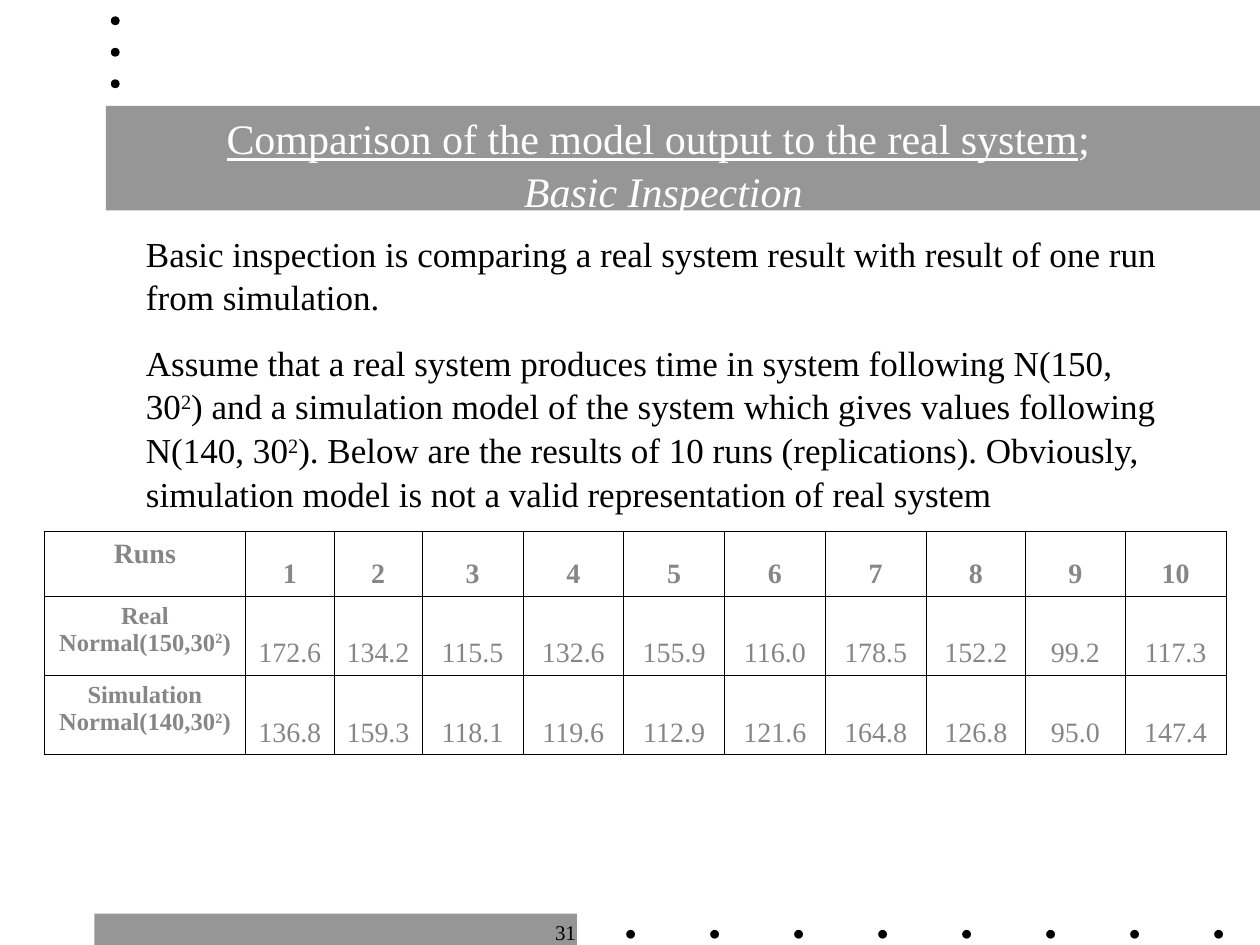
from dataclasses import dataclass

from lxml import etree
from pptx import Presentation
from pptx.dml.color import RGBColor
from pptx.enum.shapes import MSO_SHAPE
from pptx.enum.text import MSO_ANCHOR, MSO_AUTO_SIZE, PP_ALIGN
from pptx.oxml.ns import qn
from pptx.util import Inches, Pt

RECTANGLE, OVAL = MSO_SHAPE.RECTANGLE, MSO_SHAPE.OVAL
LEFT, CENTER, RIGHT = PP_ALIGN.LEFT, PP_ALIGN.CENTER, PP_ALIGN.RIGHT
TOP, MIDDLE, BOTTOM = MSO_ANCHOR.TOP, MSO_ANCHOR.MIDDLE, MSO_ANCHOR.BOTTOM
NO_AUTOFIT = MSO_AUTO_SIZE.NONE


@dataclass(frozen=True)
class Theme:
    font: str = "Times New Roman"
    band: str = "969696"
    ink: str = "000000"
    title_ink: str = "FFFFFF"
    table_ink: str = "868686"
    title_size: float = 24
    body_size: float = 20
    table_size: float = 16
    label_size: float = 14
    number_size: float = 12
    border_width: float = 0.45
    line_spacing: float = 1.04
    paragraph_gap: float = 12.5


THEME = Theme()
DOT_SIZE = 0.07

BODY = [
    ["Basic inspection is comparing a real system result with result of one run "
     "from simulation."],
    ["Assume that a real system produces time in system following N(150, 30", "2",
     ") and a simulation model of the system which gives values following N(140, 30", "2",
     "). Below are the results of 10 runs (replications). Obviously, simulation model "
     "is not a valid representation of real system"],
]
COLUMN_WIDTHS = [1.6] + [0.7] * 2 + [0.8] * 5 + [0.79] * 2 + [0.8]
ROW_HEIGHTS = [0.51, 0.63, 0.63]
# Each row: label paragraphs, then the values of the ten runs
ROWS = [
    ([["Runs"]], [str(number) for number in range(1, 11)]),
    ([["Real"], ["Normal(150,30", "2", ")"]],
     "172.6 134.2 115.5 132.6 155.9 116.0 178.5 152.2 99.2 117.3".split()),
    ([["Simulation Normal(140,30", "2", ")"]],
     "136.8 159.3 118.1 119.6 112.9 121.6 164.8 126.8 95.0 147.4".split()),
]


def add_run(paragraph, text, size, color, bold=False):
    run = paragraph.add_run()
    run.text = text
    font = run.font
    font.name, font.size, font.bold = THEME.font, Pt(size), bold
    font.color.rgb = RGBColor.from_string(color)
    return run


def write_paragraphs(frame, paragraphs, size, color, align=LEFT, bold=False, gap=0, spacing=1.0):
    """Writes lists of runs; every second run of a paragraph is superscript."""
    for index, runs in enumerate(paragraphs):
        paragraph = frame.add_paragraph() if index else frame.paragraphs[0]
        paragraph.alignment = align
        paragraph.line_spacing = spacing
        paragraph.space_before = Pt(gap if index else 0)
        for position, text in enumerate(runs):
            run = add_run(paragraph, text, size, color, bold)
            if position % 2:
                run.font._element.set("baseline", "30000")


def add_filled(slide, kind, left, top, width, height, color):
    shape = slide.shapes.add_shape(
        kind, Inches(left), Inches(top), Inches(width), Inches(height))
    shape.shadow.inherit = False
    shape.fill.solid()
    shape.fill.fore_color.rgb = RGBColor.from_string(color)
    shape.line.fill.background()


def add_dots(slide, left, top, count, step_x=0, step_y=0):
    for index in range(count):
        add_filled(slide, OVAL, left + index * step_x, top + index * step_y,
                   DOT_SIZE, DOT_SIZE, THEME.ink)


def add_text(slide, left, top, width, height, paragraphs, size, **options):
    box = slide.shapes.add_textbox(Inches(left), Inches(top), Inches(width), Inches(height))
    box.text_frame.word_wrap = True
    write_paragraphs(box.text_frame, paragraphs, size, THEME.ink, **options)


def add_footer(slide, left, top, width, height):
    add_filled(slide, RECTANGLE, left, top, width, height, THEME.band)
    add_dots(slide, left + 4.22, top + 0.13, 8, step_x=2 / 3)
    add_text(slide, left + width - 0.41, top, 0.5, 0.3, [["31"]],
             THEME.number_size, align=RIGHT)


def add_header(slide, left, top, width, height):
    add_filled(slide, RECTANGLE, left, top, width, height, THEME.band)
    add_dots(slide, left + 0.04, top - 0.71, 3, step_y=0.25)

    # Title placeholder, brought in front of the band
    title = slide.shapes.title
    title.left, title.top = Inches(left - 0.31), Inches(top - 0.17)
    title.width, title.height = Inches(width + 0.31), Inches(height + 0.42)
    slide.shapes.element.append(title.element)
    frame = title.text_frame
    frame.word_wrap = True
    frame.auto_size = NO_AUTOFIT
    frame.vertical_anchor = MIDDLE
    paragraph = frame.paragraphs[0]
    paragraph.alignment = CENTER
    paragraph.line_spacing = THEME.line_spacing
    style = (THEME.title_size, THEME.title_ink)
    subject = add_run(paragraph, "Comparison of the model output to the real system", *style)
    subject.font.underline = True
    add_run(paragraph, "; ", *style)
    paragraph.add_line_break()
    add_run(paragraph, "Basic Inspection", *style).font.italic = True


def add_borders(cell):
    properties = cell._tc.get_or_add_tcPr()
    for side in ("a:lnL", "a:lnR", "a:lnT", "a:lnB"):
        line = etree.SubElement(properties, qn(side), w=str(Pt(THEME.border_width)))
        fill = etree.SubElement(line, qn("a:solidFill"))
        etree.SubElement(fill, qn("a:srgbClr"), val=THEME.ink)


def fill_cell(cell, paragraphs, size, bold, anchor):
    add_borders(cell)
    cell.fill.background()
    cell.vertical_anchor = anchor
    write_paragraphs(cell.text_frame, paragraphs, size, THEME.table_ink, CENTER, bold)


def add_runs_table(slide, left, top, width, height):
    table = slide.shapes.add_table(
        len(ROWS), len(COLUMN_WIDTHS),
        Inches(left), Inches(top), Inches(width), Inches(height)).table
    table.first_row = table.horz_banding = False
    for column, column_width in zip(table.columns, COLUMN_WIDTHS):
        column.width = Inches(column_width)
    for index, (label, values) in enumerate(ROWS):
        table.rows[index].height = Inches(ROW_HEIGHTS[index])
        is_header = index == 0
        label_size = THEME.table_size if is_header else THEME.label_size
        fill_cell(table.cell(index, 0), label, label_size, True, TOP)
        for column, value in enumerate(values, start=1):
            fill_cell(table.cell(index, column), [[value]], THEME.table_size, is_header, BOTTOM)


def build_slide(presentation):
    slide = presentation.slides.add_slide(presentation.slide_layouts[5])
    add_footer(slide, 0.75, 7.25, 3.83, 0.25)
    add_header(slide, 0.84, 0.84, 9.16, 0.83)
    add_text(slide, 1.06, 1.78, 8.39, 2.28, BODY, THEME.body_size,
             gap=THEME.paragraph_gap, spacing=THEME.line_spacing)
    add_runs_table(slide, 0.35, 4.22, sum(COLUMN_WIDTHS), sum(ROW_HEIGHTS))


presentation = Presentation()
presentation.slide_width, presentation.slide_height = Inches(10), Inches(7.5)
build_slide(presentation)
presentation.save("out.pptx")
